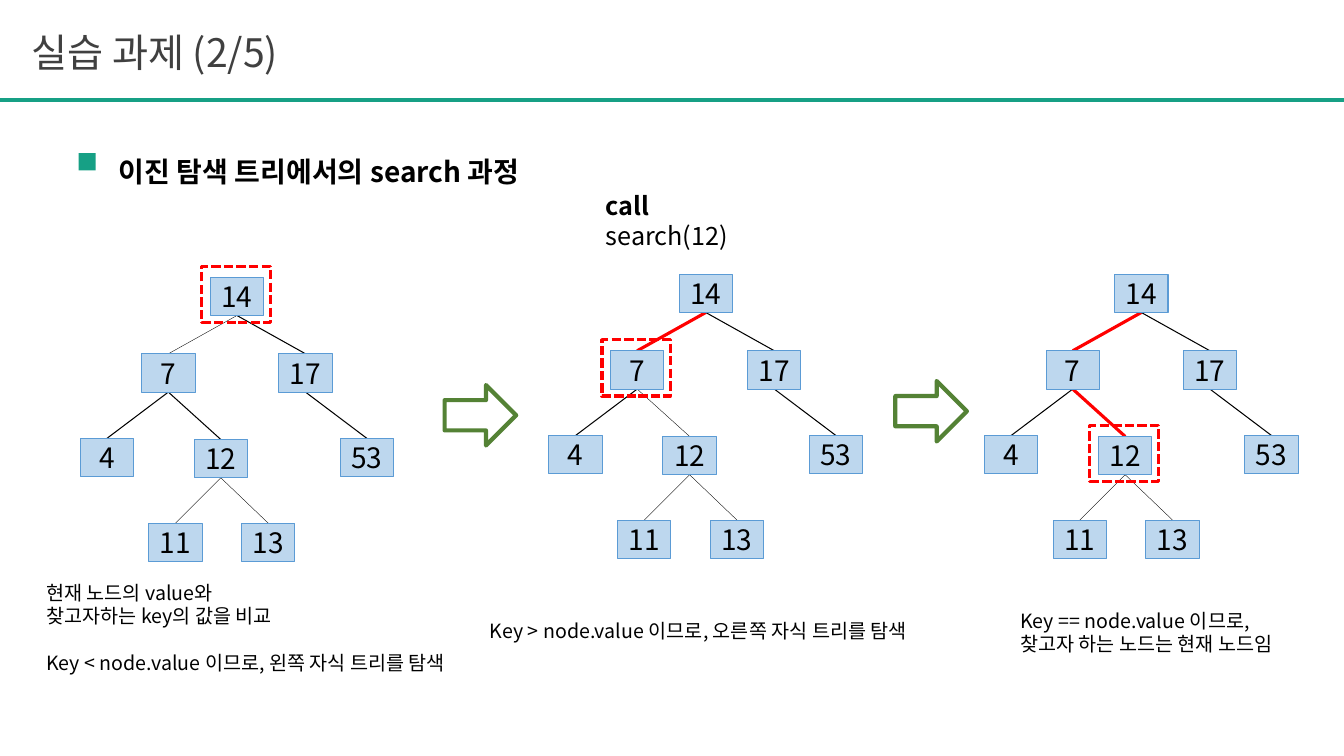
from lxml.etree import SubElement
from pptx import Presentation
from pptx.dml.color import RGBColor
from pptx.enum.dml import MSO_LINE_DASH_STYLE as Dash
from pptx.enum.shapes import MSO_CONNECTOR as Connector, MSO_SHAPE as Shape
from pptx.enum.text import MSO_ANCHOR as Anchor, MSO_AUTO_SIZE as AutoSize, PP_ALIGN as Align
from pptx.oxml.ns import qn
from pptx.util import Inches, Pt

FONT = "Noto Sans CJK KR"
TEAL = RGBColor(0x16, 0xA0, 0x85)
GRAY = RGBColor(0x40, 0x40, 0x40)
BLACK = RGBColor(0, 0, 0)
RED = RGBColor(0xFF, 0, 0)
GREEN = RGBColor(0x54, 0x82, 0x35)
PALE_BLUE = RGBColor(0xBD, 0xD7, 0xEE)
BLUE = RGBColor(0x5B, 0x9B, 0xD5)

WIDTH, HEIGHT = 13.33, 7.5
NODE_W, NODE_H = 0.53, 0.38
MARK_W, MARK_H = 0.68, 0.56
RULE_Y = 0.99

TITLE = "실습 과제 (2/5)"
HEADING = "이진 탐색 트리에서의 search 과정"
CALL = ("call", "search(12)")

NODES = {
    "14": (0, 0),
    "7": (-0.68, 0.76), "17": (0.68, 0.76),
    "4": (-1.29, 1.6), "12": (-0.16, 1.61), "53": (1.29, 1.6),
    "11": (-0.61, 2.44), "13": (0.31, 2.44),
}
EDGES = [("14", "7"), ("14", "17"), ("7", "4"), ("7", "12"),
         ("17", "53"), ("12", "11"), ("12", "13")]
LEAF_EDGES = [("12", "11"), ("12", "13")]

STEPS = [
    {"root": (2.35, 2.75), "current": "14", "visited": [], "thin": [("14", "7")],
     "caption": (0.36, 5.71, 4.49, 1.04),
     "lines": [("현재 노드의 value와", 0), ("찾고자하는 key의 값을 비교", 0),
               ("Key < node.value 이므로, 왼쪽 자식 트리를 탐색", 17)]},
    {"root": (7, 2.72), "current": "7", "visited": [("14", "7")], "thin": [("7", "12")],
     "caption": (4.76, 6.09, 4.69, 0.34),
     "lines": [("Key > node.value 이므로, 오른쪽 자식 트리를 탐색", 0)]},
    {"root": (11.32, 2.72), "current": "12", "visited": [("14", "7"), ("7", "12")], "thin": [],
     "caption": (10.02, 5.99, 3.03, 0.57),
     "lines": [("Key == node.value 이므로,", 0), ("찾고자 하는 노드는 현재 노드임", 0)]},
]
ARROWS = [(4.41, 3.82), (8.88, 3.78)]


def add_run(para, text, size, color=BLACK, bold=False):
    span = para.add_run()
    span.text = text
    font = span.font
    font.name, font.size, font.bold = FONT, Pt(size), bold
    font.color.rgb = color
    SubElement(font._element, qn("a:ea")).set("typeface", FONT)


def add_text_box(place):
    frame = page.shapes.add_textbox(*map(Inches, place)).text_frame
    frame.word_wrap = True
    return frame


def add_box(parent, kind, place, fill=None, line=None, weight=0.75):
    box = parent.shapes.add_shape(kind, *map(Inches, place))
    box.shadow.inherit = False
    if fill is None:
        box.fill.background()
    else:
        box.fill.solid()
        box.fill.fore_color.rgb = fill
    if line is None:
        box.line.fill.background()
    else:
        box.line.color.rgb = line
        box.line.width = Pt(weight)
    return box


def add_line(parent, start, end, color, weight):
    line = parent.shapes.add_connector(Connector.STRAIGHT, *map(Inches, start + end))
    line.line.color.rgb = color
    line.line.width = Pt(weight)
    SubElement(line._element.spPr, qn("a:effectLst"))


def add_tree(step):
    tree = page.shapes.add_group_shape()
    root_x, root_y = step["root"]
    tops = {key: (root_x + dx, root_y + dy) for key, (dx, dy) in NODES.items()}
    for edge in EDGES:
        (x, y), child = tops[edge[0]], tops[edge[1]]
        if edge in step["visited"]:
            color, weight = RED, 2.25
        else:
            color, weight = BLACK, 0.25 if edge in step["thin"] + LEAF_EDGES else 0.75
        add_line(tree, (x, y + NODE_H), child, color, weight)
    for key, (x, y) in tops.items():
        node = add_box(tree, Shape.RECTANGLE, (x - NODE_W / 2, y, NODE_W, NODE_H), PALE_BLUE, BLUE)
        frame = node.text_frame
        frame.word_wrap = False
        frame.vertical_anchor = Anchor.MIDDLE
        frame.paragraphs[0].alignment = Align.CENTER
        add_run(frame.paragraphs[0], key, 20)
    x, y = tops[step["current"]]
    mark = add_box(page, Shape.RECTANGLE,
                   (x - MARK_W / 2 - 0.01, y + (NODE_H - MARK_H) / 2 - 0.02, MARK_W, MARK_H),
                   line=RED, weight=2.25)
    mark.line.dash_style = Dash.SQUARE_DOT


deck = Presentation()
deck.slide_width, deck.slide_height = Inches(WIDTH), Inches(HEIGHT)
page = deck.slides.add_slide(deck.slide_layouts[5])

title = page.shapes.title
title.left, title.top, title.width, title.height = map(Inches, (0.21, 0.23, 10.15, 0.57))
frame = title.text_frame
frame.auto_size = AutoSize.NONE
frame.vertical_anchor = Anchor.TOP
frame.paragraphs[0].alignment = Align.LEFT
add_run(frame.paragraphs[0], TITLE, 28, GRAY)
add_line(page, (0, RULE_Y), (WIDTH, RULE_Y), TEAL, 3)

para = add_text_box((1.08, 1.15, 4.53, 0.77)).paragraphs[0]
para.line_spacing = 2.0
add_run(para, HEADING, 20, bold=True)
add_box(page, Shape.RECTANGLE, (0.78, 1.52, 0.17, 0.17), TEAL)

para = add_text_box((5.91, 1.84, 1.85, 0.7)).paragraphs[0]
add_run(para, CALL[0], 18, bold=True)
para.add_line_break()
add_run(para, CALL[1], 18)

for step in STEPS:
    add_tree(step)
    frame = add_text_box(step["caption"])
    for index, (text, gap) in enumerate(step["lines"]):
        para = frame.add_paragraph() if index else frame.paragraphs[0]
        para.space_before = Pt(gap)
        add_run(para, text, 14)

for left, top in ARROWS:
    add_box(page, Shape.RIGHT_ARROW, (left, top, 0.71, 0.6), line=GREEN, weight=3)

deck.save("out.pptx")
